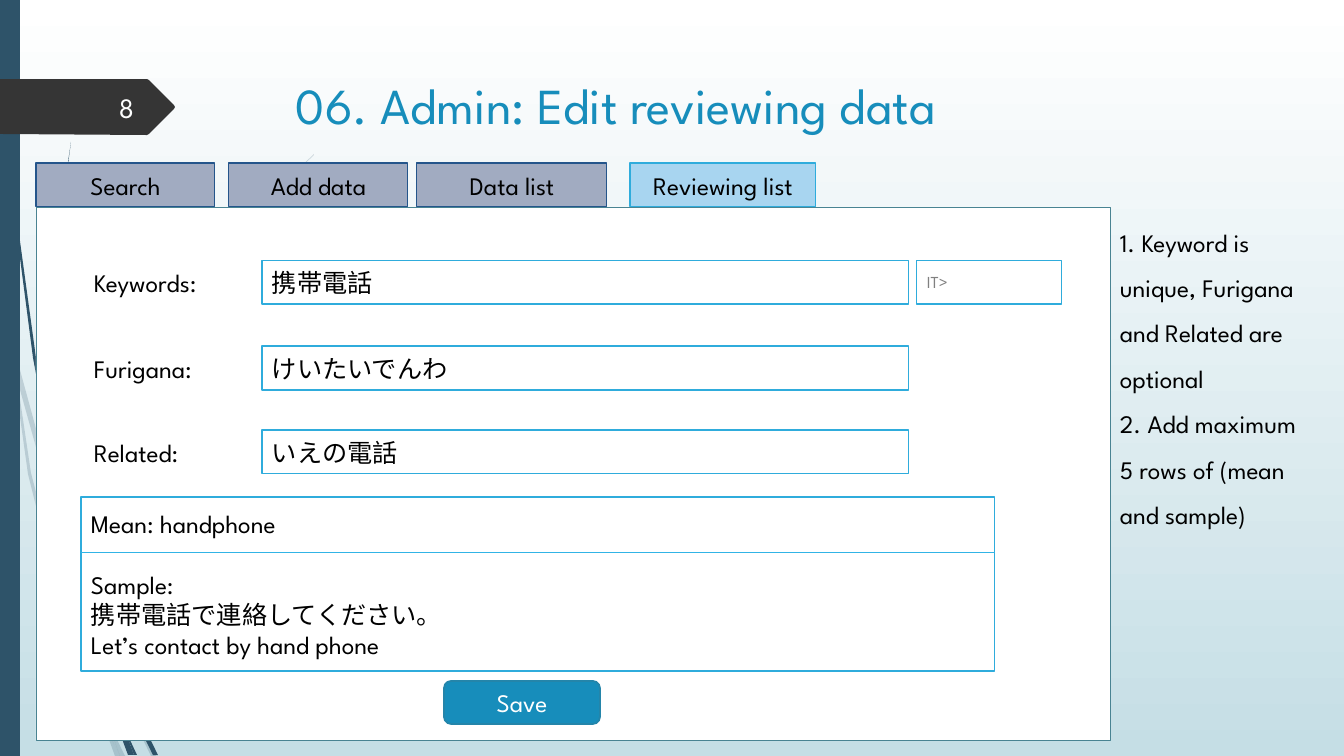
from lxml import etree
from pptx import Presentation
from pptx import util as u
from pptx.dml.color import RGBColor
from pptx.enum import shapes, text
from pptx.oxml import ns

COLORS = {
    "white": "FFFFFF", "black": "000000", "mist": "C5DEE5", "navy": "2E5369",
    "marker": "353535", "title": "178DBB", "panel": "498392", "field": "2FACDC",
    "divider": "31B4E6", "button": "2485AA", "tab": "A1ABC1", "tab_line": "24558B",
    "active": "A8D5F0", "hint": "808080", "number": "FEFFFF",
}
SCALE = 914400 / 100.8
LEFT, CENTER, RIGHT = text.PP_ALIGN.LEFT, text.PP_ALIGN.CENTER, text.PP_ALIGN.RIGHT
TOP, MIDDLE = text.MSO_ANCHOR.TOP, text.MSO_ANCHOR.MIDDLE
RECT = shapes.MSO_SHAPE.RECTANGLE
ROUNDED = shapes.MSO_SHAPE.ROUNDED_RECTANGLE

PALE_WISPS = [
    [(11, 353), (9, 325), (0, 284), (0, 301), (10, 347)],
    [(58, 526), (85, 604), (85, 591), (62, 524), (14, 348), (17, 379)],
    [(93, 612), (89, 601), (89, 615), (124, 700), (151, 756), (156, 756), (128, 698)],
    [(120, 756), (125, 756), (106, 717)],
    [(94, 688), (71, 624), (31, 473), (17, 379), (11, 353), (28, 474), (66, 626),
     (93, 699), (102, 720), (100, 713)],
    [(89, 589), (111, 466), (161, 352), (231, 247), (270, 200), (292, 176), (314, 155),
     (314, 154), (291, 176), (270, 199), (230, 246), (159, 351), (108, 465), (86, 589),
     (86, 591), (89, 601)],
    [(102, 720), (115, 756), (120, 756)],
    [(97, 698), (94, 688), (100, 713), (102, 720), (120, 756), (106, 717)],
]
DARK_WISPS = [
    [(7, 111), (17, 235), (33, 358), (56, 481), (57, 485), (55, 461), (55, 457),
     (36, 358), (19, 234), (8, 110), (5, 48), (4, 0), (3, 0), (4, 48)],
    [(114, 654), (111, 646), (111, 661), (133, 714), (153, 755), (158, 755), (137, 712)],
    [(60, 476), (58, 457), (54, 352), (58, 247), (64, 195), (71, 142), (63, 195),
     (56, 247), (52, 352), (55, 453)],
    [(134, 755), (137, 755), (123, 725)],
    [(118, 728), (128, 755), (132, 755)],
    [(117, 712), (111, 697), (117, 723), (118, 728), (131, 755), (134, 755), (123, 725)],
]
PAGE_MARKER = [(0, 79), (147, 79), (149, 80), (174, 105), (175, 107), (174, 109),
               (149, 134), (147, 135), (0, 134)]
TABS = [("Search", 36, 179), ("Add data", 229, 179), ("Data list", 417, 190),
        ("Reviewing list", 630, 186)]
FIELDS = [("Keywords:", "携帯電話", 260), ("Furigana:", "けいたいでんわ", 346),
          ("Related:", "いえの電話", 430)]


def px(n):
    return u.Emu(round(n * SCALE))


def rgb(name):
    return RGBColor.from_string(COLORS[name])


def write(tf, content, size=18, color="black", align=LEFT, anchor=MIDDLE,
          spacing=None, gaps=()):
    tf.word_wrap = True
    tf.vertical_anchor = anchor
    for i, line in enumerate(content.split("\n")):
        p = tf.paragraphs[0] if i == 0 else tf.add_paragraph()
        p.alignment = align
        if spacing:
            p.line_spacing = spacing
        if i in gaps:
            p.space_before = u.Pt(gaps[i])
        r = p.add_run()
        r.text = line
        r.font.name = "League Spartan"
        r.font.size = u.Pt(size)
        r.font.color.rgb = rgb(color)


class Deck:
    def __init__(self):
        self.prs = Presentation()
        self.prs.slide_width, self.prs.slide_height = px(1344), px(756)
        self.s = self.prs.slides.add_slide(self.prs.slide_layouts[6])

    def background(self, *names):
        fill = self.s.background.fill
        fill.gradient()
        fill.gradient_angle = 270
        for i, (stop, name) in enumerate(zip(fill.gradient_stops, names)):
            stop.position = i
            stop.color.rgb = rgb(name)

    def paint(self, sp, fill, line, width):
        sp.shadow.inherit = False
        if fill:
            sp.fill.solid()
            sp.fill.fore_color.rgb = rgb(fill)
        else:
            sp.fill.background()
        if line:
            sp.line.color.rgb = rgb(line)
            sp.line.width = u.Pt(width)
        else:
            sp.line.fill.background()

    def outline(self, points, fill, opacity=100):
        fb = self.s.shapes.build_freeform(*points[0], scale=SCALE)
        fb.add_line_segments(points[1:], close=True)
        sp = fb.convert_to_shape()
        self.paint(sp, fill, None, 0)
        if opacity < 100:
            clr = sp.fill._xPr.find(".//" + ns.qn("a:srgbClr"))
            etree.SubElement(clr, ns.qn("a:alpha")).set("val", str(opacity * 1000))

    def box(self, x, y, w, h, content="", kind=RECT, fill=None, line=None, width=0.75, **fmt):
        sp = self.s.shapes.add_shape(kind, px(x), px(y), px(w), px(h))
        self.paint(sp, fill, line, width)
        if content:
            write(sp.text_frame, content, **fmt)

    def label(self, x, y, w, h, content, **fmt):
        sp = self.s.shapes.add_textbox(px(x), px(y), px(w), px(h))
        write(sp.text_frame, content, **fmt)

    def rule(self, x1, y1, x2, y2, color, width=0.75):
        cx = self.s.shapes.add_connector(
            shapes.MSO_CONNECTOR.STRAIGHT, px(x1), px(y1), px(x2), px(y2))
        cx.line.color.rgb = rgb(color)
        cx.line.width = u.Pt(width)
        etree.SubElement(cx._element.spPr, ns.qn("a:effectLst"))


def main():
    deck = Deck()
    deck.background("white", "mist")
    for wisp in PALE_WISPS:
        deck.outline(wisp, "navy", opacity=20)
    for wisp in DARK_WISPS:
        deck.outline(wisp, "navy")
    deck.box(0, 0, 20, 756, fill="navy")
    deck.outline(PAGE_MARKER, "marker")
    deck.label(58, 87, 86, 40, "8", size=20, color="number", align=RIGHT)
    deck.label(286, 69, 983, 141, "06. Admin: Edit reviewing data",
               size=36, color="title", anchor=TOP)

    deck.box(36, 207, 1074, 533, fill="white", line="panel", width=0.5)
    for name, x, w in TABS:
        active = name == "Reviewing list"
        deck.box(x, 163, w, 44, name, fill="active" if active else "tab",
                 line="field" if active else "tab_line", align=CENTER)

    for name, value, y in FIELDS:
        deck.label(84, y, 178, 44, name)
        deck.box(262, y, 647, 44, value, line="field")
    deck.box(917, 260, 145, 44, "IT>", line="field", size=12, color="hint")

    deck.box(81, 497, 914, 174,
             "Mean: handphone\nSample:\n携帯電話で連絡してください。\nLet’s contact by hand phone",
             line="field", gaps={1: 22})
    deck.rule(81, 553, 995, 553, "divider")
    deck.box(444, 681, 156, 43, "Save", kind=ROUNDED, fill="title", line="button",
             width=1.25, color="white", align=CENTER)
    deck.label(1110, 207, 204, 422,
               "1. Keyword is unique, Furigana and Related are optional\n"
               "2. Add maximum 5 rows of (mean and sample)",
               anchor=TOP, spacing=1.5)
    deck.prs.save("out.pptx")


if __name__ == "__main__":
    main()
